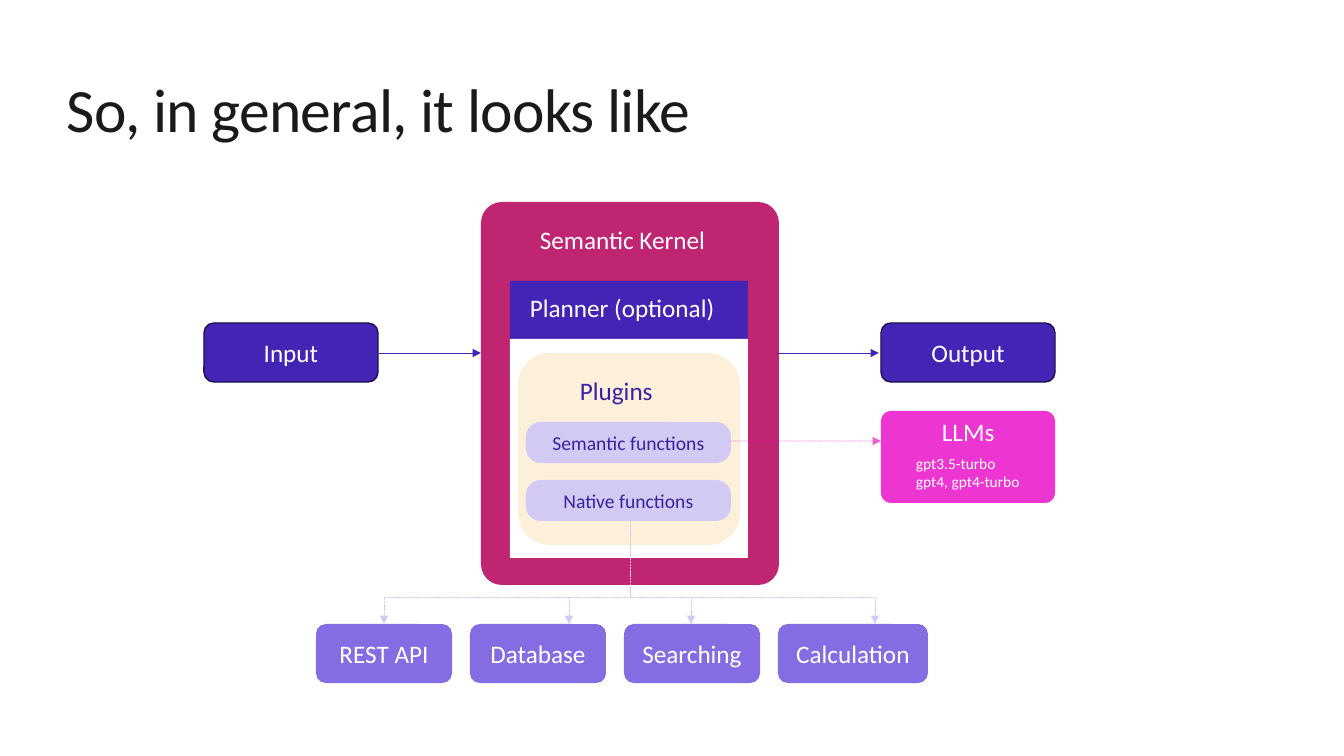
from dataclasses import dataclass

from lxml.etree import SubElement
from pptx import Presentation
from pptx.dml.color import RGBColor
from pptx.enum.dml import MSO_LINE as Dash
from pptx.enum.shapes import MSO_CONNECTOR as Link, MSO_SHAPE as Preset
from pptx.enum.text import MSO_ANCHOR as Anchor, MSO_AUTO_SIZE as Fit, PP_ALIGN as Align
from pptx.oxml.ns import qn
from pptx.util import Emu, Pt

SLIDE_W, SLIDE_H = 1344, 756
EMU_PER_PX = 12192000 / SLIDE_W


def px(length):
    return Emu(round(length * EMU_PER_PX))


@dataclass(frozen=True)
class Theme:
    font: str = "Calibri"
    title_size: float = 44
    label_size: float = 18
    function_size: float = 14
    model_size: float = 11
    ink: str = "1A1A1A"
    white: str = "FFFFFF"
    indigo: str = "4424B5"
    indigo_edge: str = "1E104F"
    indigo_text: str = "3A20A0"
    raspberry: str = "C02572"
    cream: str = "FDF0DA"
    lavender: str = "D3CAF4"
    violet: str = "866CE2"
    pink: str = "ED35D1"
    magenta: str = "E500B8"


class Diagram:
    def __init__(self, slide, theme):
        self.slide, self.theme = slide, theme

    def set_text(self, frame, text, size, color, align=Align.LEFT):
        frame.text = text
        for paragraph in frame.paragraphs:
            paragraph.alignment = align
            font = paragraph.font
            font.name, font.size = self.theme.font, Pt(size)
            font.color.rgb = RGBColor.from_string(color)

    def title(self, text, left, top, width, height):
        title = self.slide.shapes.title
        title.left, title.top = px(left), px(top)
        title.width, title.height = px(width), px(height)
        frame = title.text_frame
        self.set_text(frame, text, self.theme.title_size, self.theme.ink)
        frame.vertical_anchor, frame.auto_size = Anchor.MIDDLE, Fit.NONE
        frame.margin_left = frame.margin_right = frame.margin_top = frame.margin_bottom = 0
        paragraph = frame.paragraphs[0]
        paragraph.line_spacing = 0.9
        paragraph.runs[0].font._element.set("spc", "-50")

    def box(self, left, top, width, height, fill, text="", size=None, color=None,
            edge=None, radius=None, preset=Preset.ROUNDED_RECTANGLE):
        box = self.slide.shapes.add_shape(preset, px(left), px(top), px(width), px(height))
        box.shadow.inherit = False
        box.fill.solid()
        box.fill.fore_color.rgb = RGBColor.from_string(fill)
        if edge:
            box.line.color.rgb = RGBColor.from_string(edge)
            box.line.width = Pt(1)
        else:
            box.line.fill.background()
        if radius is not None:
            box.adjustments[0] = radius
        if text:
            box.text_frame.vertical_anchor = Anchor.MIDDLE
            self.set_text(box.text_frame, text, size or self.theme.label_size,
                          color or self.theme.white, Align.CENTER)

    def label(self, text, left, top, width, height=40, size=None, color=None):
        label = self.slide.shapes.add_textbox(px(left), px(top), px(width), px(height))
        frame = label.text_frame
        frame.word_wrap, frame.auto_size = False, Fit.SHAPE_TO_FIT_TEXT
        self.set_text(frame, text, size or self.theme.label_size, color or self.theme.white)

    def _style_arrow(self, arrow, color, dash, alpha=None):
        line = arrow.line
        line.color.rgb = RGBColor.from_string(color)
        line.width = Pt(0.5)
        if dash:
            line.dash_style = dash
        outline = line._get_or_add_ln()
        if alpha:
            SubElement(next(outline.iter(qn("a:srgbClr"))), qn("a:alpha"), val=str(alpha * 1000))
        SubElement(outline, qn("a:tailEnd"), type="triangle")
        SubElement(arrow._element.spPr, qn("a:effectLst"))

    def arrow(self, start, end, y, color, dash=None, alpha=None):
        arrow = self.slide.shapes.add_connector(Link.STRAIGHT, px(start), px(y), px(end), px(y))
        self._style_arrow(arrow, color, dash, alpha)

    def branch(self, start, end, color, bend):
        """Elbow arrow that drops, runs sideways and drops again."""
        (x0, y0), (x1, y1) = start, end
        center_x, center_y = (x0 + x1) / 2, (y0 + y1) / 2
        to_left = x1 < x0
        reach = (y1 - y0) / 2 * (1 if to_left else -1)
        spread = abs(x1 - x0) / 2
        arrow = self.slide.shapes.add_connector(
            Link.ELBOW, px(center_x - reach), px(center_y - spread),
            px(center_x + reach), px(center_y + spread))
        properties = arrow._element.spPr
        properties.find(qn("a:xfrm")).set("rot", str((90 if to_left else 270) * 60000))
        guides = properties.find(qn("a:prstGeom")).find(qn("a:avLst"))
        SubElement(guides, qn("a:gd"), name="adj1", fmla=f"val {round(bend * 100000)}")
        self._style_arrow(arrow, color, Dash.SQUARE_DOT)


def main():
    deck = Presentation()
    deck.slide_width, deck.slide_height = px(SLIDE_W), px(SLIDE_H)
    theme = Theme()
    diagram = Diagram(deck.slides.add_slide(deck.slide_layouts[5]), theme)
    diagram.title("So, in general, it looks like", 67, 67, 1210, 91)

    # Input and output
    for text, left in (("Input", 204), ("Output", 881)):
        diagram.box(left, 323, 174, 59, theme.indigo, text, edge=theme.indigo_edge)

    # Kernel with planner and plugins
    diagram.box(481, 202, 298, 383, theme.raspberry, radius=0.07)
    diagram.label("Semantic Kernel", 530, 219, 187)
    diagram.box(510, 281, 238, 277, theme.indigo, preset=Preset.RECTANGLE)
    diagram.label("Planner (optional)", 520, 287, 208)
    diagram.box(510, 339, 238, 219, theme.white, preset=Preset.RECTANGLE)
    diagram.box(518, 353, 222, 192, theme.cream)
    diagram.label("Plugins", 570, 370, 94, color=theme.indigo_text)
    for text, top in (("Semantic functions", 422), ("Native functions", 480)):
        diagram.box(526, top, 205, 41, theme.lavender, text, theme.function_size,
                    theme.indigo_text, radius=0.36)

    # Flow through the kernel
    for start in (379, 777):
        diagram.arrow(start, start + 102, 353, theme.indigo)

    # Language models
    diagram.box(881, 411, 174, 92, theme.pink, radius=0.11)
    diagram.label("LLMs", 932, 411, 74)
    diagram.label("gpt3.5-turbo\ngpt4, gpt4-turbo", 906, 449, 124, 47, theme.model_size)
    diagram.arrow(731, 881, 441, theme.magenta, Dash.ROUND_DOT, alpha=61)

    # Native function targets, each with the point its arrow reaches
    targets = (("REST API", 136, 384), ("Database", 136, 569),
               ("Searching", 136, 691), ("Calculation", 150, 875))
    for index, (text, width, _) in enumerate(targets):
        diagram.box(316 + 154 * index, 624, width, 59, theme.violet, text)
    for _, _, tip in targets:
        diagram.branch((630, 521), (tip, 624), theme.lavender, bend=0.74)

    deck.save("out.pptx")


if __name__ == "__main__":
    main()
